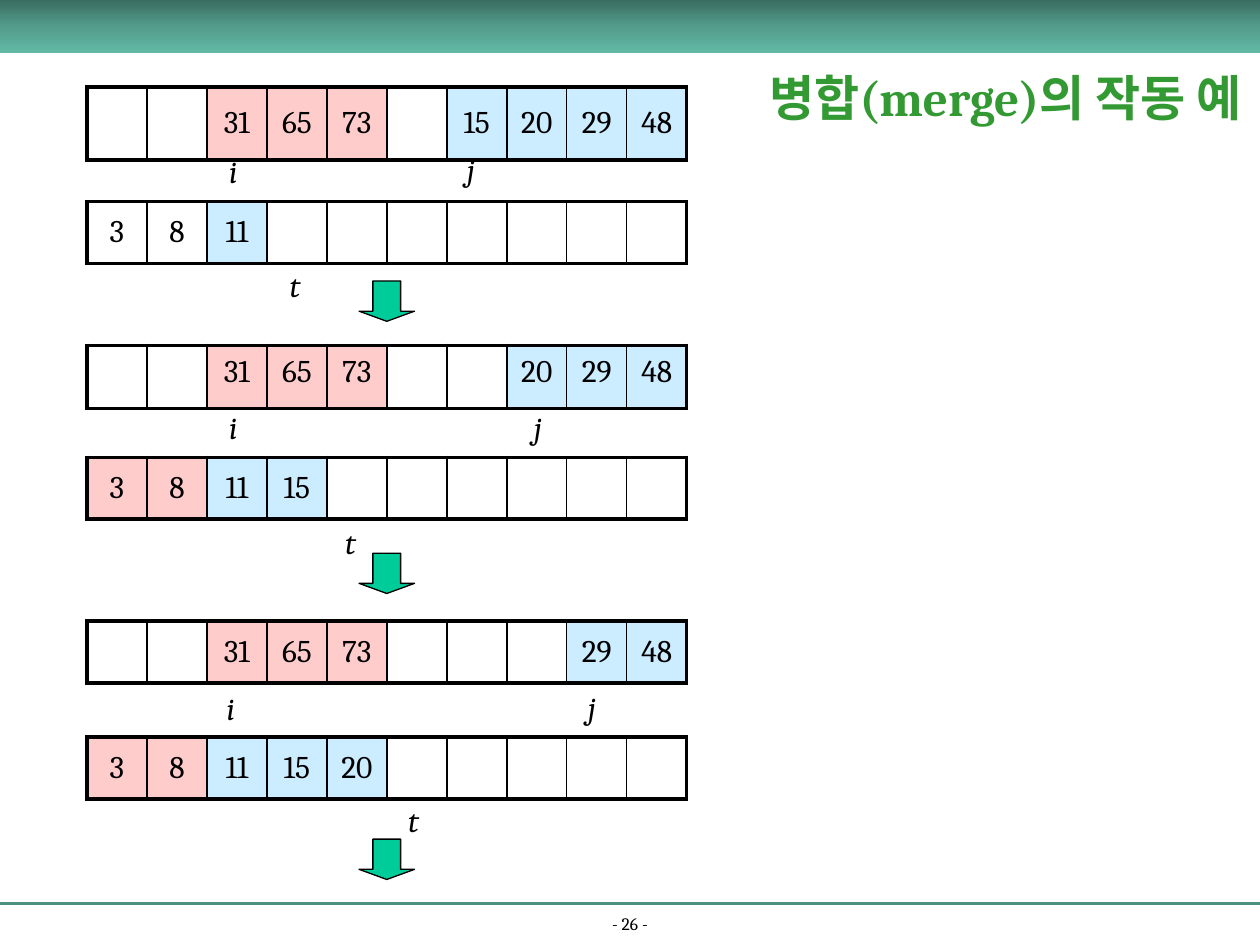
from dataclasses import dataclass
from typing import NamedTuple, Optional

import lxml.etree
import pptx
import pptx.dml.color
import pptx.enum.shapes
import pptx.enum.text
import pptx.oxml.ns
import pptx.util

qualified = pptx.oxml.ns.qn
Align = pptx.enum.text.PP_ALIGN
Anchor = pptx.enum.text.MSO_ANCHOR
AutoSize = pptx.enum.text.MSO_AUTO_SIZE
Preset = pptx.enum.shapes.MSO_SHAPE

# The slide is a grid of 100 columns by 75 rows
GRID_COLUMNS, GRID_ROWS = 100, 75
SLIDE_WIDTH, SLIDE_HEIGHT = pptx.util.Inches(10), pptx.util.Inches(7.5)
ARRAY_LEFT, ARRAY_WIDTH, ARRAY_CELLS = 6.9, 47.6, 10


@dataclass(frozen=True)
class Theme:
    font: str = "Cambria"
    title_size: float = 28
    body_size: float = 18
    page_size: float = 10
    ink: str = "000000"
    title: str = "339933"
    rule: str = "4C9282"
    band: tuple = ("3A6D62", "62B9A5")
    left: str = "FFCCCC"
    right: str = "CCECFF"
    arrow: str = "00CC99"
    outer_border: float = 2.25
    inner_border: float = 1


THEME = Theme()


class Run(NamedTuple):
    """Neighbouring array cells that share a colour."""
    start: int
    values: tuple
    color: Optional[str]


class Array(NamedTuple):
    top: float
    height: float
    runs: tuple
    margin: float = 0.5
    anchor: Anchor = Anchor.MIDDLE


class Pointer(NamedTuple):
    name: str
    left: float
    top: float


class Stage(NamedTuple):
    arrays: tuple
    pointers: tuple
    arrow_top: float


LEFT_HALF = Run(2, (31, 65, 73), THEME.left)
MERGED_LEFT = Run(0, (3, 8), THEME.left)

STAGES = (
    Stage((Array(6.9, 5.8, (LEFT_HALF, Run(6, (15, 20, 29, 48), THEME.right)), 0.7),
           Array(16, 4.9, (Run(0, (3, 8), None), Run(2, (11,), THEME.right)))),
          (Pointer("i", 17.2, 11.6), Pointer("j", 36.1, 11.4), Pointer("t", 22, 20.6)),
          22.3),
    Stage((Array(27.4, 5, (LEFT_HALF, Run(7, (20, 29, 48), THEME.right)), 0.7, Anchor.TOP),
           Array(36.3, 4.9, (MERGED_LEFT, Run(2, (11, 15), THEME.right)))),
          (Pointer("i", 17.2, 31.9), Pointer("j", 41.4, 31.9), Pointer("t", 26.4, 41)),
          43.9),
    Stage((Array(49.3, 4.9, (LEFT_HALF, Run(8, (29, 48), THEME.right)), 0.7),
           Array(58.5, 4.9, (MERGED_LEFT, Run(2, (11, 15, 20), THEME.right)))),
          (Pointer("i", 17, 54.2), Pointer("j", 45.7, 54.1), Pointer("t", 31.4, 63.1)),
          66.6),
)


def across(columns: float) -> int:
    return round(SLIDE_WIDTH * columns / GRID_COLUMNS)


def down(rows: float) -> int:
    return round(SLIDE_HEIGHT * rows / GRID_ROWS)


def box(left: float, top: float, width: float, height: float) -> tuple:
    return across(left), down(top), across(width), down(height)


def rgb(color: str) -> pptx.dml.color.RGBColor:
    return pptx.dml.color.RGBColor.from_string(color)


def write(paragraph, text: str, size: float, color: str = THEME.ink, **formats) -> None:
    run = paragraph.add_run()
    run.text = text
    settings = {"name": THEME.font, "size": pptx.util.Pt(size), **formats}
    for name, value in settings.items():
        setattr(run.font, name, value)
    run.font.color.rgb = rgb(color)


def add_border(cell, side: str, width: float) -> None:
    properties = cell._tc.get_or_add_tcPr()
    line = lxml.etree.SubElement(properties, qualified(f"a:ln{side}"),
                                 w=str(pptx.util.Pt(width)))
    fill = lxml.etree.SubElement(line, qualified("a:solidFill"))
    lxml.etree.SubElement(fill, qualified("a:srgbClr"), val=THEME.ink)


def add_array(slide, array: Array) -> None:
    frame = slide.shapes.add_table(
        1, ARRAY_CELLS, *box(ARRAY_LEFT, array.top, ARRAY_WIDTH, array.height))
    table = frame.table
    table.first_row = table.horz_banding = False
    contents = {run.start + offset: (str(value), run.color)
                for run in array.runs for offset, value in enumerate(run.values)}
    for index in range(ARRAY_CELLS):
        cell = table.cell(0, index)
        outer_sides = {"T", "B"}
        if index == 0:
            outer_sides.add("L")
        if index == ARRAY_CELLS - 1:
            outer_sides.add("R")
        for side in "LRTB":
            add_border(cell, side, THEME.outer_border if side in outer_sides
                       else THEME.inner_border)
        text, color = contents.get(index, ("", None))
        if color:
            cell.fill.solid()
            cell.fill.fore_color.rgb = rgb(color)
        else:
            cell.fill.background()
        cell.margin_top = cell.margin_bottom = down(array.margin)
        cell.vertical_anchor = array.anchor
        if text:
            paragraph = cell.text_frame.paragraphs[0]
            paragraph.alignment = Align.CENTER
            write(paragraph, text, THEME.body_size)


def add_pointer(slide, pointer: Pointer) -> None:
    shape = slide.shapes.add_textbox(*box(pointer.left, pointer.top, 2.7, 4))
    shape.text_frame.word_wrap = False
    shape.text_frame.auto_size = AutoSize.SHAPE_TO_FIT_TEXT
    write(shape.text_frame.paragraphs[0], pointer.name, THEME.body_size, italic=True)


def add_down_arrow(slide, top: float) -> None:
    shape = slide.shapes.add_shape(Preset.DOWN_ARROW, *box(28.5, top, 4.4, 3.2))
    shape.adjustments[0], shape.adjustments[1] = 0.5, 0.25
    shape.shadow.inherit = False
    shape.fill.solid()
    shape.fill.fore_color.rgb = rgb(THEME.arrow)
    shape.line.color.rgb = rgb(THEME.ink)
    shape.line.width = pptx.util.Pt(0.75)


def add_frame(slide) -> None:
    # Footer rule and page number
    rule = slide.shapes.add_connector(
        pptx.enum.shapes.MSO_CONNECTOR.STRAIGHT,
        0, down(71.7), SLIDE_WIDTH, down(71.7))
    rule.line.color.rgb = rgb(THEME.rule)
    rule.line.width = pptx.util.Pt(1.5)
    lxml.etree.SubElement(rule._element.spPr, qualified("a:effectLst"))
    page = slide.shapes.add_textbox(*box(0, 72.4, GRID_COLUMNS, 2.2))
    page.text_frame.word_wrap = True
    page.text_frame.vertical_anchor = Anchor.BOTTOM
    page.text_frame.paragraphs[0].alignment = Align.CENTER
    write(page.text_frame.paragraphs[0], "- 26 -", THEME.page_size)

    # Header band, shaded from top to bottom
    band = slide.shapes.add_shape(Preset.RECTANGLE, *box(0, 0, GRID_COLUMNS, 4.2))
    band.shadow.inherit = False
    band.line.fill.background()
    band.fill.gradient()
    band.fill.gradient_angle = 270
    for stop, position, color in zip(band.fill.gradient_stops, (0, 1), THEME.band):
        stop.position = position
        stop.color.rgb = rgb(color)
    # Middle stop of the shading
    stops = band._element.spPr.find(".//" + qualified("a:gsLst"))
    middle = lxml.etree.Element(qualified("a:gs"), pos="50000")
    lxml.etree.SubElement(middle, qualified("a:srgbClr"), val="539C8B")
    stops.insert(1, middle)


def format_title(slide) -> None:
    title = slide.shapes.title
    title.left, title.top, title.width, title.height = box(59.6, 3.3, 40.4, 8.8)
    title.text_frame.auto_size = AutoSize.NONE
    title.text_frame.vertical_anchor = Anchor.MIDDLE
    title.text_frame.paragraphs[0].alignment = Align.CENTER
    write(title.text_frame.paragraphs[0], "병합(merge)의 작동 예",
          THEME.title_size, THEME.title, bold=True)
    slide.shapes._spTree.append(title._element)  # in front of the header band


def main() -> None:
    presentation = pptx.Presentation()
    presentation.slide_width, presentation.slide_height = SLIDE_WIDTH, SLIDE_HEIGHT
    slide = presentation.slides.add_slide(presentation.slide_layouts[5])
    add_frame(slide)
    for stage in STAGES:
        for array in stage.arrays:
            add_array(slide, array)
        for pointer in stage.pointers:
            add_pointer(slide, pointer)
        add_down_arrow(slide, stage.arrow_top)
    format_title(slide)
    presentation.save("out.pptx")


if __name__ == "__main__":
    main()
